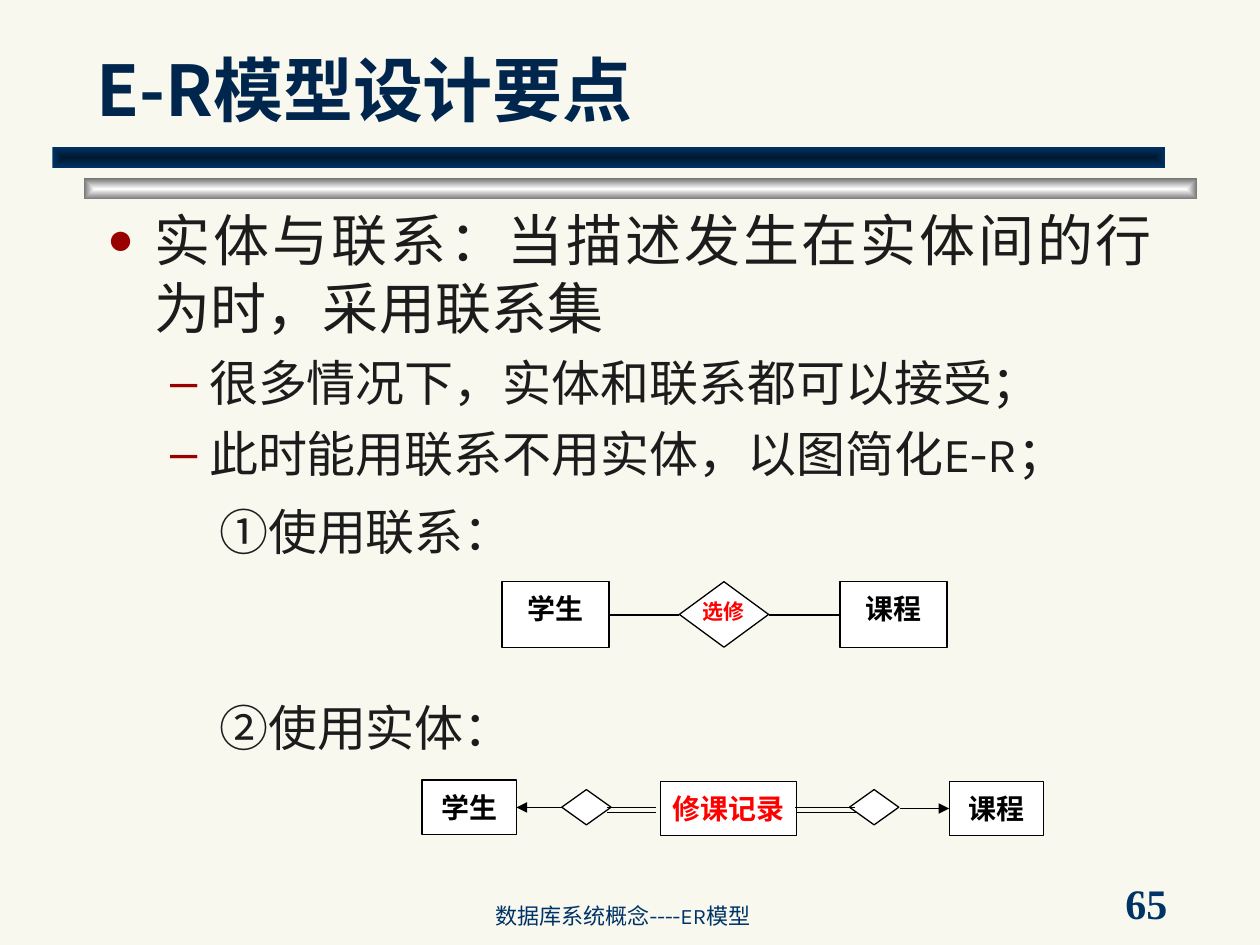
from lxml import etree
from pptx import Presentation
from pptx import util as u
from pptx.dml.color import RGBColor
from pptx.enum import shapes, text
from pptx.oxml import parse_xml
from pptx.oxml.ns import qn, nsdecls

NAVY = RGBColor(0x00, 0x33, 0x66)
DEEP = RGBColor(0x00, 0x18, 0x2F)
TITLE = RGBColor(0x00, 0x26, 0x4D)
INK = RGBColor(0x1C, 0x1C, 0x1C)
MAROON = RGBColor(0x99, 0x00, 0x00)
RED = RGBColor(0xFF, 0x00, 0x00)
BLACK = RGBColor(0x00, 0x00, 0x00)
GREY = RGBColor(0x76, 0x76, 0x76)
WHITE = RGBColor(0xFF, 0xFF, 0xFF)
PAPER = RGBColor(0xF8, 0xF8, 0xEF)
SANS, SERIF, HEAD = "Karla", "Times New Roman", "Noto Sans CJK SC"
LEFT, CENTER, JUSTIFY = text.PP_ALIGN.LEFT, text.PP_ALIGN.CENTER, text.PP_ALIGN.JUSTIFY
TOP, MIDDLE, BOTTOM = text.MSO_ANCHOR.TOP, text.MSO_ANCHOR.MIDDLE, text.MSO_ANCHOR.BOTTOM
RECT, DIAMOND = shapes.MSO_SHAPE.RECTANGLE, shapes.MSO_SHAPE.FLOWCHART_DECISION


class Deck:
    """Slide builder on a grid of 120 columns by 90 rows."""

    def __init__(self):
        self.prs = Presentation()
        self.prs.slide_width, self.prs.slide_height = u.Inches(10), u.Inches(7.5)
        self.cell = self.prs.slide_width / 120
        self.s = self.prs.slides.add_slide(self.prs.slide_layouts[1])
        self.s.background.fill.solid()
        self.s.background.fill.fore_color.rgb = PAPER

    def grid(self, *cells):
        return [round(c * self.cell) for c in cells]

    def place(self, sp, at, anchor):
        sp.left, sp.top, sp.width, sp.height = self.grid(*at)
        tf = sp.text_frame
        tf.word_wrap, tf.auto_size = True, text.MSO_AUTO_SIZE.NONE
        tf.vertical_anchor = anchor
        return tf

    def add_text(self, p, words, size, font, color, bold=False, align=LEFT, before=0, spacing=1.0):
        p.alignment, p.line_spacing, p.space_before = align, spacing, u.Pt(before)
        r = p.add_run()
        r.text = words
        r.font.size, r.font.name, r.font.bold = u.Pt(size), font, bold
        r.font.color.rgb = color

    def indent(self, p, margin, hang=0.0):
        pPr = p._p.get_or_add_pPr()
        pPr.set("marL", str(u.Inches(margin)))
        pPr.set("indent", str(u.Inches(-hang)))
        return pPr

    def bullet(self, p, char, percent, margin, hang):
        pPr = self.indent(p, margin, hang)
        color = etree.SubElement(pPr, qn("a:buClr"))
        etree.SubElement(color, qn("a:srgbClr"), val=str(MAROON))
        etree.SubElement(pPr, qn("a:buSzPct"), val=str(percent * 1000))
        etree.SubElement(pPr, qn("a:buChar"), char=char)

    def bar(self, at, inner, outer):
        sp = self.s.shapes.add_shape(RECT, *self.grid(*at))
        sp.shadow.inherit = False
        sp.line.fill.background()
        sp.fill.background()
        fill = sp._element.spPr.find(qn("a:noFill"))
        fill.getparent().replace(fill, parse_xml(
            f'<a:gradFill {nsdecls("a")} rotWithShape="1"><a:gsLst>'
            f'<a:gs pos="0"><a:srgbClr val="{inner}"/></a:gs>'
            f'<a:gs pos="100000"><a:srgbClr val="{outer}"/></a:gs></a:gsLst>'
            '<a:path path="rect"><a:fillToRect l="50000" t="50000" r="50000" b="50000"/>'
            '</a:path></a:gradFill>'))

    def title(self, at, words):
        tf = self.place(self.s.shapes.title, at, BOTTOM)
        self.add_text(tf.paragraphs[0], words, 40, HEAD, TITLE, bold=True)

    def body(self, at, items):
        tf = self.place(self.s.placeholders[1], at, TOP)
        for i, (level, words) in enumerate(items):
            p = tf.add_paragraph() if i else tf.paragraphs[0]
            p.level = level
            self.bullet(p, *(("–", 100, 0.81, 0.31) if level else ("●", 80, 0.38, 0.38)))
            self.add_text(p, words, 28 if level else 32, SANS, INK,
                          align=JUSTIFY, before=7 if i else 0)

    def label(self, at, lines, size, font, color, anchor=TOP, margin=0, gap=0, **style):
        tf = self.place(self.s.shapes.add_textbox(0, 0, 0, 0), at, anchor)
        for i, words in enumerate(lines):
            p = tf.add_paragraph() if i else tf.paragraphs[0]
            self.indent(p, margin)
            self.add_text(p, words, size, font, color, before=gap if i else 0, **style)

    def node(self, kind, at, words="", color=BLACK, size=16, inset=0.08):
        sp = self.s.shapes.add_shape(kind, *self.grid(*at))
        sp.shadow.inherit = False
        sp.fill.solid()
        sp.fill.fore_color.rgb = WHITE
        sp.line.color.rgb, sp.line.width = BLACK, u.Pt(0.75)
        if words:
            tf = self.place(sp, at, TOP)
            tf.margin_left = tf.margin_right = tf.margin_bottom = 0
            tf.margin_top = u.Inches(inset)
            self.add_text(tf.paragraphs[0], words, size, SERIF, color, bold=True, align=CENTER)

    def link(self, x1, x2, y, arrow=False):
        c = self.s.shapes.add_connector(shapes.MSO_CONNECTOR.STRAIGHT, *self.grid(x1, y, x2, y))
        c.line.color.rgb, c.line.width = BLACK, u.Pt(0.75)
        if arrow:
            etree.SubElement(c.line._get_or_add_ln(), qn("a:tailEnd"), type="triangle")
        etree.SubElement(c._element.spPr, qn("a:effectLst"))


def main():
    d = Deck()
    d.bar((8, 17, 106, 2), WHITE, GREY)
    d.bar((5, 14, 106, 2), DEEP, NAVY)
    d.label((106, 84, 13, 4), ["65"], 24, SERIF, NAVY, MIDDLE, bold=True)
    d.label((46, 85, 49, 4), ["数据库系统概念----ER模型"], 12.6, SANS, NAVY, BOTTOM, spacing=0.8)
    d.title((8, 5, 102, 8), "E-R模型设计要点")
    d.body((9, 19, 102, 28), [
        (0, "实体与联系：当描述发生在实体间的行为时，采用联系集"),
        (1, "很多情况下，实体和联系都可以接受；"),
        (1, "此时能用联系不用实体，以图简化E-R；"),
    ])
    d.label((13.7, 47.8, 93.6, 24.8), ["①使用联系：", "②使用实体："], 28, SANS, INK,
            margin=0.5, gap=82, spacing=0.9)

    for x, words in ((47.8, "学生"), (80, "课程")):
        d.node(RECT, (x, 55.4, 10.2, 6.24), words)
    d.node(DIAMOND, (64.7, 55.4, 8.5, 6.24), "选修", RED, 12, 0)
    for x1, x2 in ((58, 64.7), (73.2, 80)):
        d.link(x1, x2, 58.56)

    for x1, x2 in ((57.84, 62.5), (75.7, 82.3)):
        d.link(x1, x2, 77.4)
    for x, y, w, words, color in ((40.2, 74.3, 9, "学生", BLACK),
                                  (62.9, 74.4, 12.96, "修课记录", RED),
                                  (90.4, 74.4, 9, "课程", BLACK)):
        d.node(RECT, (x, y, w, 5.16), words, color)
    for x in (53.5, 80.9):
        d.node(DIAMOND, (x, 75.2, 4.7, 3.36))
    for x1, x2, y, arrow in ((53.6, 49.2, 76.9, True), (85.7, 90.4, 77, True),
                             (57.84, 62.5, 76.9, False), (75.7, 81.4, 76.9, False)):
        d.link(x1, x2, y, arrow)
    d.prs.save("out.pptx")


if __name__ == "__main__":
    main()
